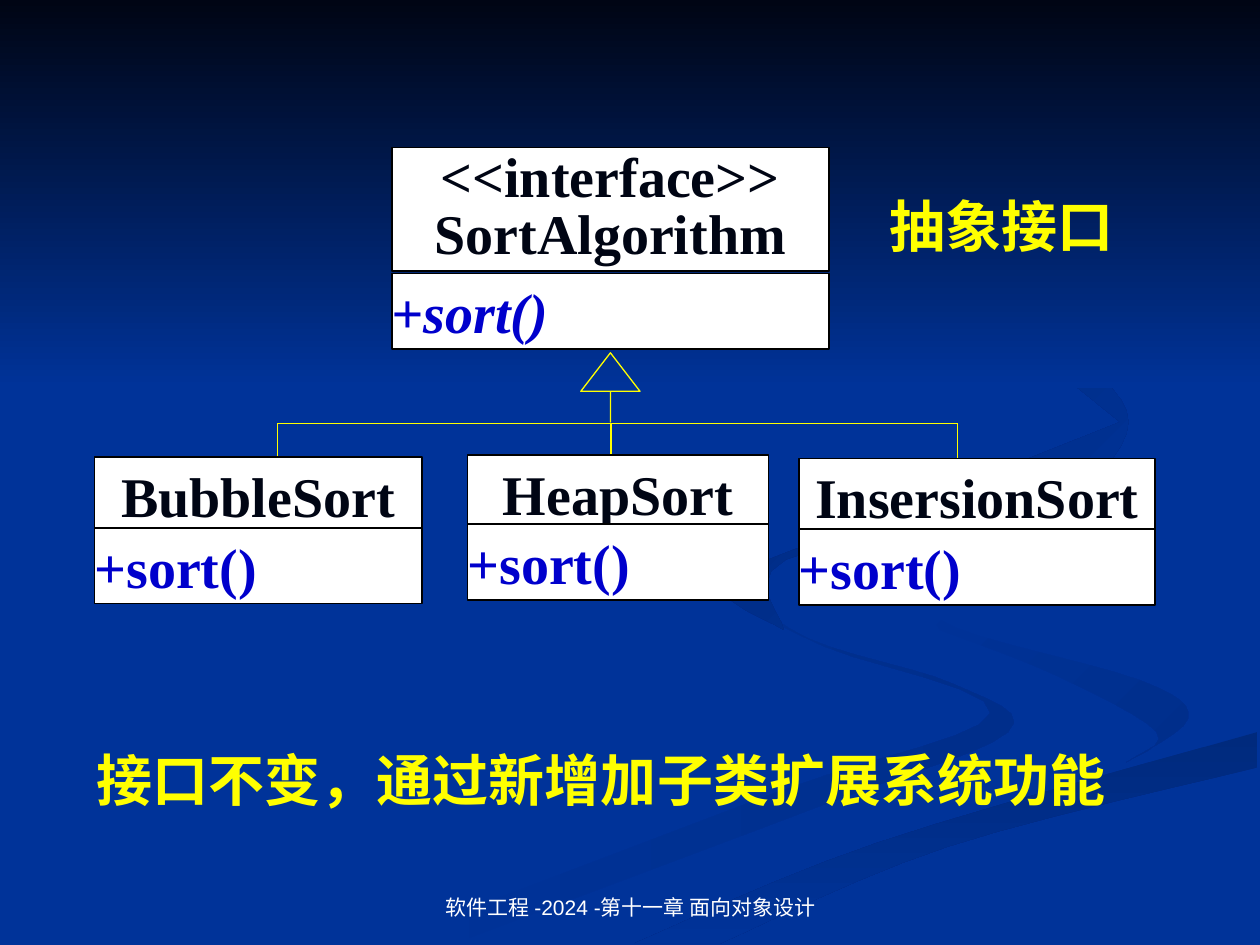
from dataclasses import dataclass

from lxml.etree import SubElement
from pptx import Presentation
from pptx.dml.color import RGBColor
from pptx.enum.shapes import MSO_CONNECTOR, MSO_SHAPE
from pptx.enum.text import MSO_ANCHOR, PP_ALIGN
from pptx.oxml.ns import qn
from pptx.util import Inches, Pt


@dataclass(frozen=True)
class Theme:
    back: str = "003399"
    shade: str = "002E8B"
    deep: str = "002A7D"
    dark: str = "000514"
    line: str = "000000"
    white: str = "FFFFFF"
    blue: str = "0000CC"
    yellow: str = "FFFF00"
    big: int = 32
    small: int = 12
    serif: str = "Times New Roman"
    sans: str = "Arial"
    han: str = "Noto Sans CJK SC"


THEME = Theme()


def rgb(code):
    return RGBColor.from_string(code)


def blend(shape, first, last, angle):
    """Fill with a gradient whose angle runs clockwise."""
    shape.shadow.inherit = False
    shape.line.fill.background()
    shape.fill.gradient()
    shape.fill.gradient_angle = -angle % 360
    for stop, code in zip(shape.fill.gradient_stops, (first, last)):
        stop.color.rgb = rgb(code)


def curve(knots, steps=6):
    """Return points on a smooth curve through the knots."""
    ends = [knots[0], *knots, knots[-1]]
    for a, b, c, d in zip(ends, ends[1:], ends[2:], ends[3:]):
        for step in range(steps):
            t = step / steps
            yield tuple(
                q + t / 2 * (r - p + t * (2 * p - 5 * q + 4 * r - s
                                          + t * (3 * (q - r) + s - p)))
                for p, q, r, s in zip(a, b, c, d))
    yield knots[-1]


def add_swirl(slide, first, last, angle, there, back):
    """Draw the area between two smooth edges."""
    edge = [*curve(there), *curve(back)]
    start, *rest = [(Inches(x), Inches(y)) for x, y in edge]
    pen = slide.shapes.build_freeform(*start)
    pen.add_line_segments(rest, close=True)
    blend(pen.convert_to_shape(), first, last, angle)


def add_back(slide):
    slide.background.fill.solid()
    slide.background.fill.fore_color.rgb = rgb(THEME.back)
    add_swirl(slide, THEME.back, THEME.shade, 0,
              [(5.75, 4.6), (6.42, 5.07), (7.57, 5.43), (8, 5.81), (6.5, 6.4), (3.6, 7.49)],
              [(3, 7.49), (6.16, 6.29), (7.86, 5.66), (6.54, 5.13), (5.7, 4.7)])
    add_swirl(slide, THEME.back, THEME.shade, 45,
              [(7.24, 4.64), (7.58, 4.98), (9.05, 5.4), (9.43, 5.7), (8.94, 6.05)],
              [(8.94, 6.05), (9.18, 5.81), (8.38, 5.36), (7.46, 5)])
    add_swirl(slide, THEME.deep, THEME.back, 90,
              [(5.03, 7.49), (6.96, 6.69), (9.98, 5.81)],
              [(9.98, 6.09), (7.52, 6.72), (5.71, 7.49)])
    add_swirl(slide, THEME.deep, THEME.back, 45,
              [(7.62, 2.33), (8.64, 2.91), (8.94, 3.44), (8.25, 4.02), (6.24, 4.44), (6.22, 5)],
              [(6.22, 5), (5.77, 4.62), (7.04, 4.09), (8.89, 3.35)])
    band = slide.shapes.add_shape(MSO_SHAPE.RECTANGLE, 0, 0, Inches(10), Inches(3.08))
    blend(band, THEME.dark, THEME.back, 90)


def add_line(slide, x1, y1, x2, y2):
    line = slide.shapes.add_connector(
        MSO_CONNECTOR.STRAIGHT, Inches(x1), Inches(y1), Inches(x2), Inches(y2))
    line.line.color.rgb = rgb(THEME.yellow)
    line.line.width = Pt(0.75)
    SubElement(line._element.spPr, qn("a:effectLst"))


def add_arrow(slide, x, y, wide, high):
    arrow = slide.shapes.add_shape(
        MSO_SHAPE.UP_ARROW, Inches(x), Inches(y), Inches(wide), Inches(high))
    arrow.adjustments[0] = 0
    arrow.adjustments[1] = 0.65
    arrow.shadow.inherit = False
    arrow.fill.background()
    arrow.line.color.rgb = rgb(THEME.yellow)
    arrow.line.width = Pt(0.75)


def style(frame, size, color, face, align, bold=True, italic=False, space=None):
    for para in frame.paragraphs:
        para.alignment = align
        para.line_spacing = space
        for run in para.runs:
            font = run.font
            font.size, font.bold, font.italic = Pt(size), bold, italic
            font.name = face
            font.color.rgb = rgb(color)
            SubElement(font._element, qn("a:ea"), typeface=THEME.han)


def add_part(slide, x, y, wide, high, text, color, align, **looks):
    """Add one compartment of a class box."""
    part = slide.shapes.add_shape(
        MSO_SHAPE.RECTANGLE, Inches(x), Inches(y), Inches(wide), Inches(high))
    part.shadow.inherit = False
    part.fill.solid()
    part.fill.fore_color.rgb = rgb(THEME.white)
    part.line.color.rgb = rgb(THEME.line)
    part.line.width = Pt(1)
    frame = part.text_frame
    frame.margin_left = frame.margin_right = 0
    frame.margin_top = frame.margin_bottom = Inches(0.03)
    frame.vertical_anchor = MSO_ANCHOR.MIDDLE
    frame.word_wrap = True
    frame.text = text
    style(frame, THEME.big, color, THEME.serif, align, **looks)


def add_class(slide, x, y, wide, name, drop=0.56, high=0.6, italic=False, space=None):
    """Add a name part with an operation part drop inches below its top."""
    add_part(slide, x, y, wide, high, name, THEME.dark, PP_ALIGN.CENTER, space=space)
    add_part(slide, x, y + drop, wide, 0.6, "+sort()", THEME.blue, PP_ALIGN.LEFT,
             italic=italic)


def add_text(slide, x, y, wide, high, text, wrap=True):
    box = slide.shapes.add_textbox(Inches(x), Inches(y), Inches(wide), Inches(high))
    box.text_frame.word_wrap = wrap
    box.text_frame.text = text
    return box.text_frame


def add_note(slide, *place, wrap=True):
    frame = add_text(slide, *place, wrap=wrap)
    style(frame, THEME.big, THEME.yellow, THEME.han, PP_ALIGN.LEFT)


def add_foot(slide, *place):
    frame = add_text(slide, *place)
    frame.vertical_anchor = MSO_ANCHOR.BOTTOM
    style(frame, THEME.small, THEME.white, THEME.sans, PP_ALIGN.CENTER, bold=False)


def main():
    deck = Presentation()
    deck.slide_width, deck.slide_height = Inches(10), Inches(7.5)
    slide = deck.slides.add_slide(deck.slide_layouts[6])
    add_back(slide)

    stems, rail = (2.2, 4.85, 7.6), 3.36
    add_line(slide, stems[0], rail, stems[-1], rail)
    for x in stems:
        add_line(slide, x, rail, x, 3.94)
    add_arrow(slide, 4.61, 2.8, 0.47, 0.55)

    add_class(slide, 3.11, 1.17, 3.47, "<<interface>>\nSortAlgorithm",
              drop=1, high=0.98, italic=True, space=0.85)
    add_class(slide, 0.75, 3.63, 2.6, "BubbleSort")
    add_class(slide, 3.71, 3.61, 2.39, "HeapSort", drop=0.55)
    add_class(slide, 6.34, 3.64, 2.83, "InsersionSort")

    add_note(slide, 6.96, 1.47, 1.98, 0.64, "抽象接口", wrap=False)
    add_note(slide, 0.67, 5.87, 8.35, 0.64, "接口不变，通过新增加子类扩展系统功能")
    add_foot(slide, 3.42, 6.83, 3.17, 0.52, "软件工程 -2024 -第十一章 面向对象设计")
    deck.save("out.pptx")


if __name__ == "__main__":
    main()
